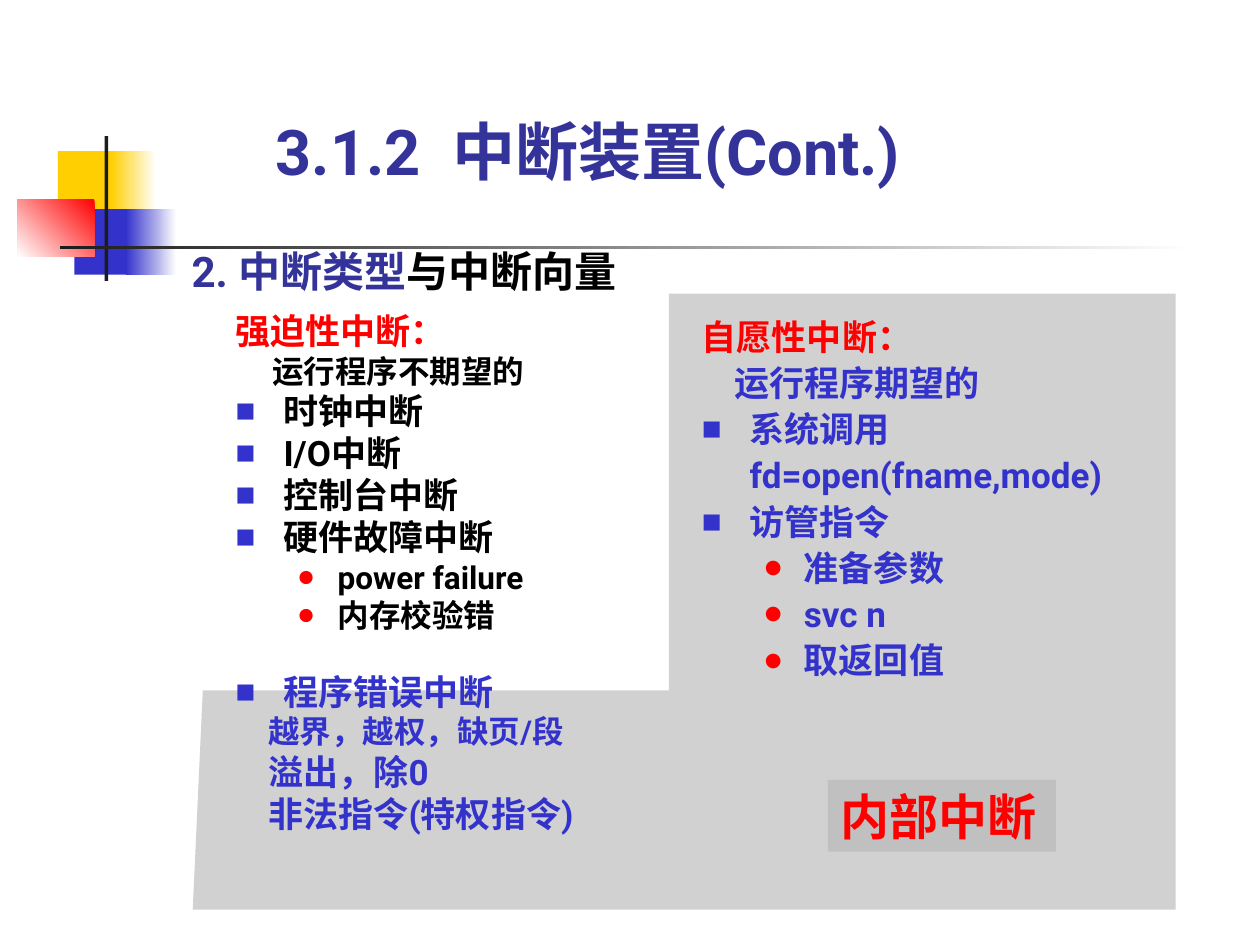
from dataclasses import dataclass
from typing import Optional

from lxml.etree import SubElement
from pptx import Presentation
from pptx.dml.color import RGBColor
from pptx.enum.shapes import MSO_SHAPE
from pptx.enum.text import MSO_ANCHOR, MSO_AUTO_SIZE, PP_ALIGN
from pptx.oxml.ns import qn
from pptx.util import Inches, Pt

COLORS = {
    "yellow": "FFCF01",
    "blue": "3333CC",
    "navy": "333399",
    "red": "FF0000",
    "dark": "1C1C1C",
    "gray": "C0C0C0",
    "white": "FFFFFF",
    "black": "000000",
}


@dataclass(frozen=True)
class Block:
    left: float
    top: float
    width: float
    height: float
    color: str
    fade_to: Optional[str] = None
    angle: float = 180


@dataclass(frozen=True)
class Bullet:
    symbol: str
    color: str
    percent: int
    margin: float
    hang: float
    level: int


@dataclass(frozen=True)
class Line:
    text: str
    color: str = "black"
    size: float = 20
    bullet: Optional[Bullet] = None
    margin: float = 0
    before: float = 0


SQUARE = Bullet("■", "blue", 60, 0.38, 0.38, 0)
DOT = Bullet("●", "red", 55, 0.81, 0.31, 1)

DECORATION = [
    Block(0.46, 1.2, 0.48, 0.52, "yellow"),
    Block(0.88, 1.2, 0.36, 0.52, "white", "yellow"),
    Block(0.59, 1.66, 0.46, 0.52, "blue"),
    Block(1, 1.66, 0.4, 0.52, "white", "blue"),
    Block(0.14, 1.58, 0.61, 0.46, "red", "white", 225),
    Block(0.83, 1.08, 0.03, 1.15, "dark"),
    Block(0.48, 1.95, 9, 0.03, "white", "dark"),
]

INTERNAL_AREA = [(1.61, 5.48), (5.31, 5.48), (5.31, 2.33),
                 (9.33, 2.33), (9.33, 7.22), (1.53, 7.22)]

FORCED = [
    Line("强迫性中断：", "red"),
    Line("运行程序不期望的", size=18, margin=0.29),
    Line("时钟中断", bullet=SQUARE),
    Line("I/O中断", bullet=SQUARE),
    Line("控制台中断", bullet=SQUARE),
    Line("硬件故障中断", bullet=SQUARE),
    Line("power failure", size=18, bullet=DOT),
    Line("内存校验错", size=18, bullet=DOT),
    Line("程序错误中断", "blue", bullet=SQUARE, before=21),
    Line("越界，越权，缺页/段", "blue", 18, margin=0.26),
    Line("溢出，除0", "blue", margin=0.26),
    Line("非法指令(特权指令)", "blue", margin=0.26),
]

VOLUNTARY = [
    Line("自愿性中断：", "red"),
    Line("运行程序期望的", "blue", margin=0.26),
    Line("系统调用fd=open(fname,mode)", "blue", bullet=SQUARE),
    Line("访管指令", "blue", bullet=SQUARE),
    Line("准备参数", "blue", bullet=DOT),
    Line("svc n", "blue", bullet=DOT),
    Line("取返回值", "blue", bullet=DOT),
]


def rgb(name: str) -> RGBColor:
    return RGBColor.from_string(COLORS[name])


def add_block(page, block: Block):
    shape = page.shapes.add_shape(
        MSO_SHAPE.RECTANGLE, Inches(block.left), Inches(block.top),
        Inches(block.width), Inches(block.height))
    shape.shadow.inherit = False
    shape.line.fill.background()
    if block.fade_to:
        shape.fill.gradient()
        shape.fill.gradient_angle = block.angle
        for stop, name in zip(shape.fill.gradient_stops, (block.color, block.fade_to)):
            stop.color.rgb = rgb(name)
    else:
        shape.fill.solid()
        shape.fill.fore_color.rgb = rgb(block.color)
    return shape


def add_area(page, points: list, color: str, opacity: int) -> None:
    corners = [(Inches(x), Inches(y)) for x, y in points]
    builder = page.shapes.build_freeform(*corners[0])
    builder.add_line_segments(corners[1:], close=True)
    area = builder.convert_to_shape()
    area.shadow.inherit = False
    area.line.fill.background()
    area.fill.solid()
    area.fill.fore_color.rgb = rgb(color)
    color_node = next(area.element.spPr.iter(qn("a:srgbClr")))
    SubElement(color_node, qn("a:alpha"), val=str(opacity * 1000))


def add_span(paragraph, text: str, *, size: float, color: str, font: str = "Roboto") -> None:
    span = paragraph.add_run()
    span.text = text
    span.font.name = font
    span.font.size = Pt(size)
    span.font.bold = True
    span.font.color.rgb = rgb(color)


def set_bullet(paragraph, bullet: Optional[Bullet], margin: float) -> None:
    properties = paragraph._p.get_or_add_pPr()
    hang = bullet.hang if bullet else 0
    properties.set("marL", str(Inches(bullet.margin if bullet else margin)))
    properties.set("indent", str(-Inches(hang)))
    if bullet is None:
        SubElement(properties, qn("a:buNone"))
        return
    paragraph.level = bullet.level
    tint = SubElement(properties, qn("a:buClr"))
    SubElement(tint, qn("a:srgbClr"), val=COLORS[bullet.color])
    SubElement(properties, qn("a:buSzPct"), val=str(bullet.percent * 1000))
    SubElement(properties, qn("a:buFont"), typeface="Roboto")
    SubElement(properties, qn("a:buChar"), char=bullet.symbol)


def prepare(box, anchor: MSO_ANCHOR):
    frame = box.text_frame
    frame.word_wrap = True
    frame.auto_size = MSO_AUTO_SIZE.NONE
    frame.vertical_anchor = anchor
    frame.paragraphs[0].alignment = PP_ALIGN.LEFT
    return frame.paragraphs[0]


def place(page, box, left: float, top: float, width: float, height: float) -> None:
    box.left, box.top = Inches(left), Inches(top)
    box.width, box.height = Inches(width), Inches(height)
    page.shapes._spTree.append(box.element)


def fill_list(box, lines: list, spacing: float) -> None:
    paragraph = prepare(box, MSO_ANCHOR.TOP)
    for index, line in enumerate(lines):
        if index:
            paragraph = box.text_frame.add_paragraph()
        set_bullet(paragraph, line.bullet, line.margin)
        paragraph.line_spacing = spacing
        paragraph.space_before = Pt(line.before)
        add_span(paragraph, line.text, size=line.size, color=line.color)


def main() -> None:
    deck = Presentation()
    deck.slide_width, deck.slide_height = Inches(10), Inches(7.5)
    page = deck.slides.add_slide(deck.slide_layouts[3])
    title, forced, voluntary = page.placeholders

    for block in DECORATION:
        add_block(page, block)
    add_area(page, INTERNAL_AREA, "gray", 72)

    place(page, title, 1.42, 1.93, 3.9, 0.48)
    heading = prepare(title, MSO_ANCHOR.BOTTOM)
    heading.line_spacing = 0.95
    add_span(heading, "2. 中断类型", size=24, color="navy")
    add_span(heading, "与中断向量", size=24, color="black")

    place(page, forced, 1.77, 2.41, 3.77, 4.72)
    fill_list(forced, FORCED, 1.0)
    place(page, voluntary, 5.47, 2.42, 4.09, 3.3)
    fill_list(voluntary, VOLUNTARY, 1.1)

    section = page.shapes.add_textbox(Inches(2.09), Inches(0.84), Inches(5.83), Inches(0.7))
    add_span(prepare(section, MSO_ANCHOR.BOTTOM), "3.1.2  中断装置(Cont.)",
             size=36, color="navy")

    label = add_block(page, Block(6.57, 6.19, 1.81, 0.57, "gray"))
    add_span(prepare(label, MSO_ANCHOR.MIDDLE), "内部中断",
             size=28, color="red", font="Times New Roman")

    deck.save("out.pptx")


if __name__ == "__main__":
    main()
